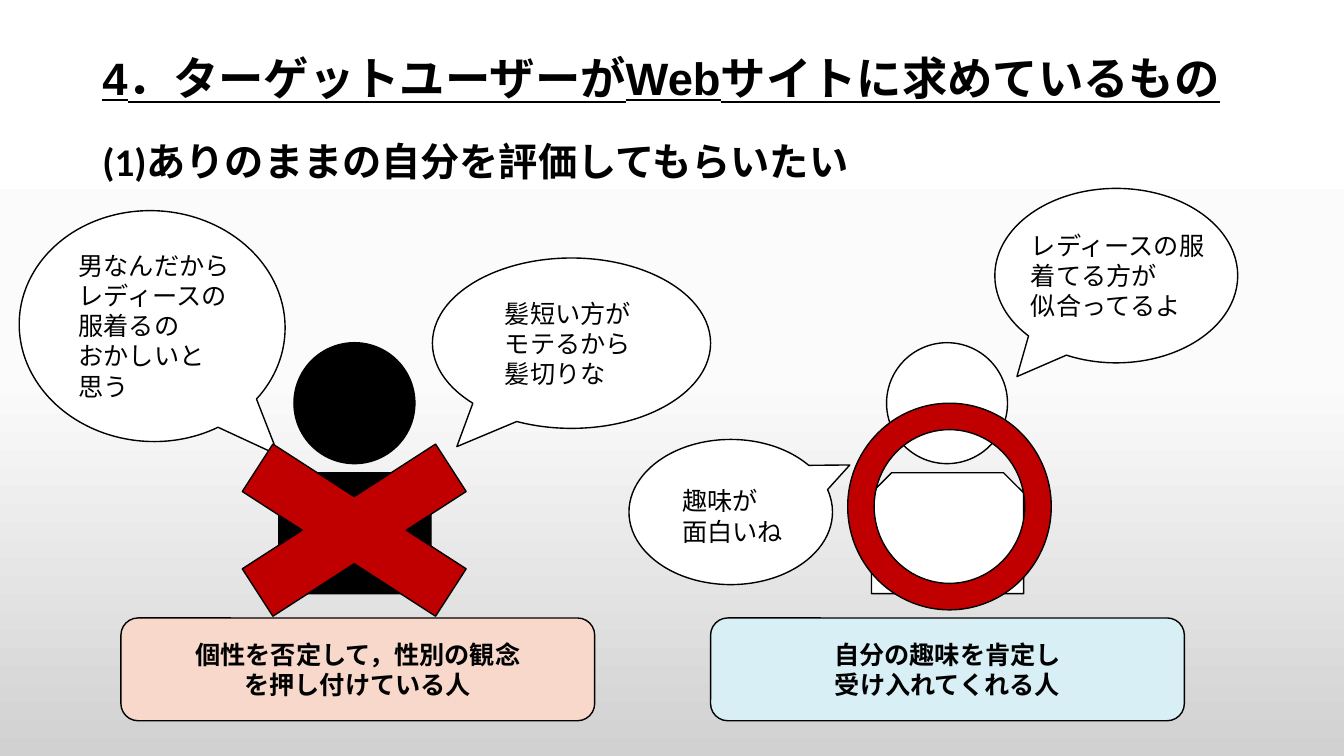
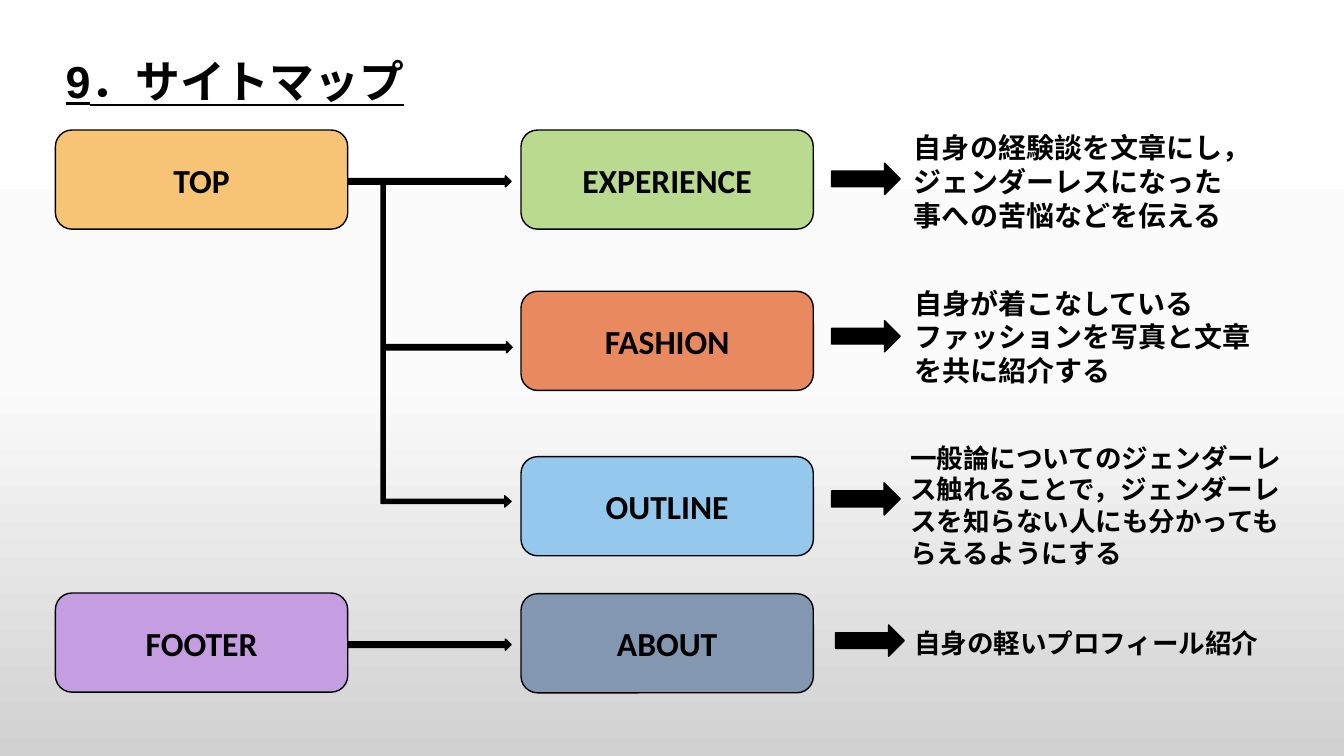
from copy import deepcopy
from pptx import Presentation
from pptx.dml.color import RGBColor
from pptx.enum import shapes, text
from pptx.oxml import ns
from pptx.util import Pt

SHAPE = shapes.MSO_SHAPE
BLACK, WHITE, RED = "000000", "FFFFFF", "C00000"
NODE_WIDTH, NODE_HEIGHT = 208.8, 70.8
FIRST_COLUMN, SECOND_COLUMN = 39.6, 372.2


def rgb(value):
    return RGBColor.from_string(value)


def points(box):
    return [Pt(length) for length in box]


def set_background(master):
    fill = master.background.fill
    fill.gradient()
    fill.gradient_angle = 270
    for stop, color in zip(fill.gradient_stops, ("FBFBFB", "D1D1D1")):
        stop.color.rgb = rgb(color)
    stop_list = master.element.find(".//" + ns.qn("a:gsLst"))
    stop_list.insert(0, deepcopy(stop_list[0]))
    stops = fill.gradient_stops
    stops[0].color.rgb = rgb(WHITE)
    for stop, position in zip(stops, (0, 0.5, 1)):
        stop.position = position


def write(shape, content, size, bold=False, align=text.PP_ALIGN.LEFT,
          anchor=text.MSO_ANCHOR.TOP, font="Calibri"):
    frame = shape.text_frame
    frame.text = content
    frame.word_wrap = True
    frame.auto_size = text.MSO_AUTO_SIZE.NONE
    frame.vertical_anchor = anchor
    for paragraph in frame.paragraphs:
        paragraph.alignment = align
        for run in paragraph.runs:
            run.font.name = font
            run.font.size = Pt(size)
            run.font.bold = bold
            run.font.color.rgb = rgb(BLACK)


def place(shape, box):
    shape.left, shape.top, shape.width, shape.height = points(box)


def add_title(slide, content, box, size):
    title = slide.shapes.title
    place(title, box)
    write(title, content, size, True, anchor=text.MSO_ANCHOR.MIDDLE, font="Arial")
    paragraph = title.text_frame.paragraphs[0]
    paragraph.line_spacing = 0.9
    paragraph.runs[0].font.underline = True


def add_body(slide, content, box):
    body = slide.placeholders[1]
    place(body, box)
    write(body, content, 28, True)
    paragraph = body.text_frame.paragraphs[0]
    paragraph.line_spacing = 0.9
    paragraph.space_before = Pt(0)
    properties = paragraph._p.get_or_add_pPr()
    properties.set("marL", "0")
    properties.set("indent", "0")
    properties.append(properties.makeelement(ns.qn("a:buNone"), {}))


def add_shape(slide, preset, box, color, adjustments=(), rotation=0):
    shape = slide.shapes.add_shape(preset, *points(box))
    shape.shadow.inherit = False
    shape.fill.solid()
    shape.fill.fore_color.rgb = rgb(color)
    shape.line.color.rgb = rgb(BLACK)
    shape.line.width = Pt(1)
    shape.rotation = rotation
    for index, value in enumerate(adjustments):
        shape.adjustments[index] = value
    return shape


def add_text(slide, content, box, size, bold=False):
    write(slide.shapes.add_textbox(*points(box)), content, size, bold)


def add_card(slide, content, box, color, size):
    card = add_shape(slide, SHAPE.ROUNDED_RECTANGLE, box, color)
    write(card, content, size, True, text.PP_ALIGN.CENTER, text.MSO_ANCHOR.MIDDLE)


def add_person(slide, left, top, color):
    add_shape(slide, SHAPE.OVAL, (left, top, 86.4, 86.4), color)
    add_shape(slide, SHAPE.SNIP_2_SAME_RECTANGLE,
              (left - 10.8, top + 92.9, 108.7, 86.4), color)


def add_bubble(slide, content, box, tail, text_offset, text_size, rotation=0):
    add_shape(slide, SHAPE.OVAL_CALLOUT, box, WHITE, tail, rotation)
    left, top = (start + shift for start, shift in zip(box, text_offset))
    add_text(slide, content, (left, top, *text_size), 18)


def add_node(slide, label, left, top, color):
    add_card(slide, label, (left, top, NODE_WIDTH, NODE_HEIGHT), color, 24)


def add_page_row(slide, label, color, top, arrow_box, note, note_box, note_size):
    add_node(slide, label, SECOND_COLUMN, top, color)
    add_shape(slide, SHAPE.RIGHT_ARROW, arrow_box, BLACK)
    add_text(slide, note, note_box, note_size, True)


def build_needs_slide(presentation):
    slide = presentation.slides.add_slide(presentation.slide_layouts[1])
    add_title(slide, "4．ターゲットユーザーがWebサイトに求めているもの",
              (66, 24, 828, 67), 32.4)
    add_body(slide, "(1)ありのままの自分を評価してもらいたい", (66, 98.6, 828, 343))
    add_person(slide, 210, 244.8, BLACK)
    add_person(slide, 633.3, 244.8, WHITE)
    bubbles = (
        ("髪短い方が\nモテるから\n髪切りな", (308.9, 184.3, 198.7, 121.7),
         (-0.412, 0.607), (44.6, 25.2), (109.4, 72.7), 0),
        ("男なんだから\nレディースの服着るの\nおかしいと\n思う", (13.7, 150.5, 190, 164.9),
         (0.5, 0.529), (35.3, 24.5), (126.7, 116.6), 3.1),
        ("レディースの服\n着てる方が\n似合ってるよ", (710.6, 134.6, 173.5, 124.6),
         (-0.409, 0.579), (18.7, 26), (162, 72.7), 0),
        ("趣味が\n面白いね", (449.3, 313.9, 145.4, 103.7),
         (0.585, -0.324), (31, 29.5), (94.3, 51.1), 0),
    )
    for bubble in bubbles:
        add_bubble(slide, *bubble)
    add_card(slide, "個性を否定して，性別の観念\nを押し付けている人",
             (86.4, 441.4, 338.4, 73.4), "F8D8CA", 18)
    add_card(slide, "自分の趣味を肯定し\n受け入れてくれる人",
             (507.6, 441.4, 338.4, 73.4), "D7EFF5", 18)
    add_shape(slide, SHAPE.MATH_MULTIPLY, (120.2, 293, 265.7, 171.4), RED)
    add_shape(slide, SHAPE.DONUT, (605.5, 288, 145.4, 147.6), RED, (0.13,))


def build_sitemap_slide(presentation):
    slide = presentation.slides.add_slide(presentation.slide_layouts[5])
    add_title(slide, "9．サイトマップ", (39.6, 39.6, 828, 41), 32)
    add_node(slide, "TOP", FIRST_COLUMN, 92.9, "F7C475")
    add_node(slide, "FOOTER", FIRST_COLUMN, 423.6, "C59EE2")
    for left, top, width in ((248.4, 125.6, 116.6), (272.9, 244.1, 92.9),
                             (248.4, 456.5, 116.6)):
        add_shape(slide, SHAPE.RIGHT_ARROW, (left, top, width, 7.9), BLACK)
    add_shape(slide, SHAPE.BENT_UP_ARROW, (201.6, 198.7, 234, 92.9), BLACK,
              (0.031, 0.043, 0.049), 90)
    rows = (
        ("EXPERIENCE", "B9DA8F", 92.9, (594, 116.6, 49, 22.3),
         "自身の経験談を文章にし，ジェンダーレスになった事への苦悩などを伝える",
         (645.8, 90, 254.2, 79.9), 20),
        ("FASHION", "E98960", 208.1, (594, 229, 49, 22.3),
         "自身が着こなしているファッションを写真と文章を共に紹介する",
         (645.8, 200.9, 258.5, 79.9), 20),
        ("OUTLINE", "94C8ED", 326.2, (594, 344.9, 49, 23),
         "一般論についてのジェンダーレス触れることで，ジェンダーレスを知らない人にも分かってもらえるようにする",
         (643, 311.8, 287.3, 99.4), 19),
        ("ABOUT", "8497B0", 424.1, (596.9, 446.4, 49, 22.3),
         "自身の軽いプロフィール紹介", (645.8, 444.2, 262.8, 30.2), 19),
    )
    for row in rows:
        add_page_row(slide, *row)


def main():
    presentation = Presentation()
    presentation.slide_width, presentation.slide_height = Pt(960), Pt(540)
    set_background(presentation.slide_master)
    build_needs_slide(presentation)
    build_sitemap_slide(presentation)
    presentation.save("out.pptx")


if __name__ == "__main__":
    main()
